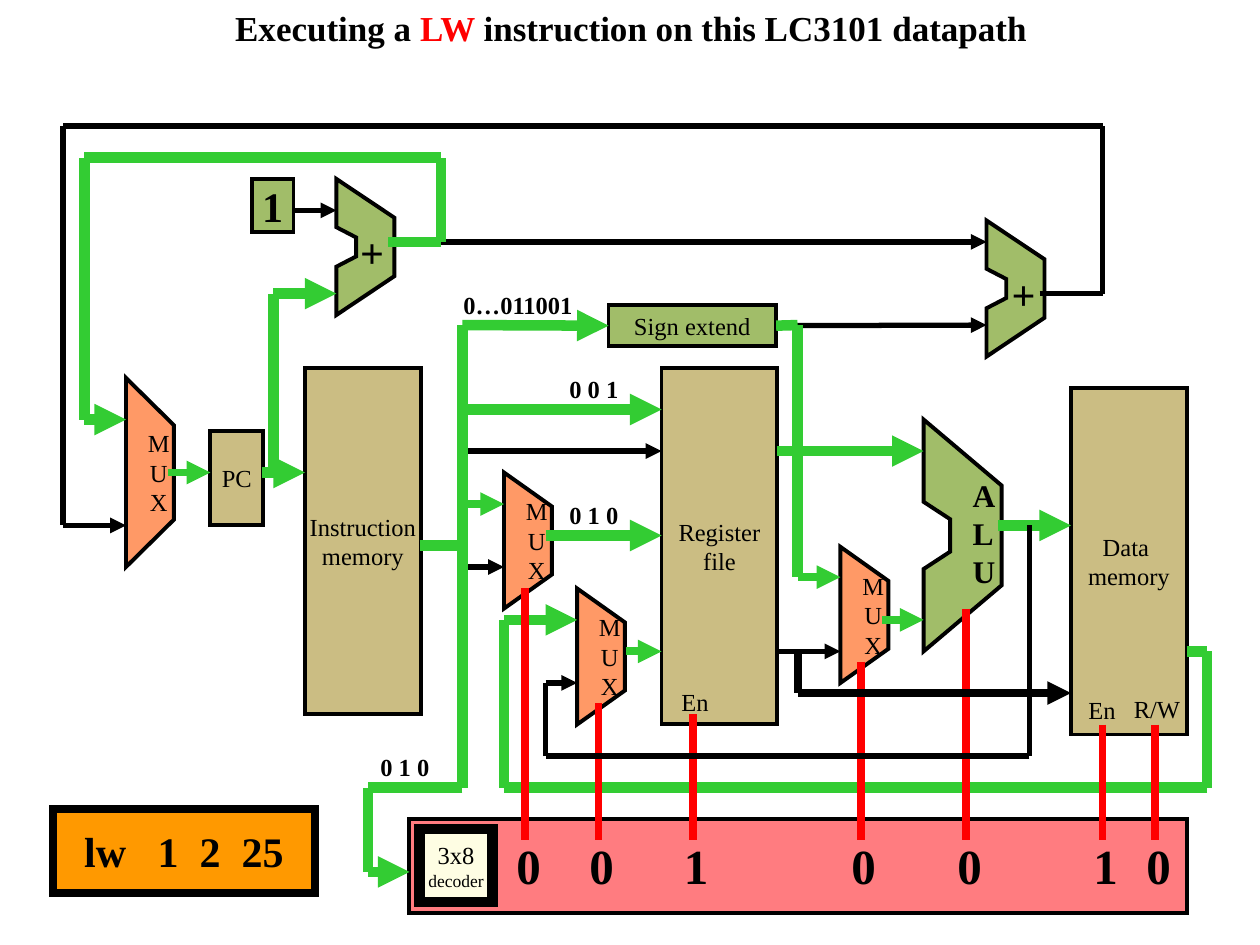
from dataclasses import dataclass
from math import hypot

from lxml import etree
from pptx import Presentation
from pptx.dml.color import RGBColor
from pptx.enum import shapes, text
from pptx.oxml import ns
from pptx.util import Inches, Pt

FONT = "Times New Roman"
COLORS = {
    "black": "000000", "white": "FFFFFF", "active": "33CC33", "control": "FF0000",
    "storage": "CBBD83", "logic": "A1BD69", "mux": "FF9966",
    "control_unit": "FF7C80", "decoder": "FEFDE3", "instruction": "FF9900",
}


@dataclass
class Block:
    left: float
    top: float
    width: float
    height: float
    fill: str
    label: str = ""
    size: float = 14
    bold: bool = False
    border: float = 2.25


@dataclass
class Unit:
    """A trapezoid whose wide side is on the left, centred on mid."""
    left: float
    mid: float
    width: float
    half: float


@dataclass
class Wire:
    """A run of straight segments; the arrowhead, if any, is on the last one."""
    color: str
    weight: float
    points: list[tuple[float, float]]
    arrow: bool = True


@dataclass
class Label:
    left: float
    top: float
    width: float
    height: float
    words: str
    size: float = 14
    bold: bool = True


@dataclass
class Signal:
    x: float
    top: float
    value: str


BLOCKS = [
    Block(1.67, 3.42, 0.42, 0.75, "storage", "PC"),
    Block(2.42, 2.92, 0.92, 2.75, "storage", "Instruction\nmemory"),
    Block(5.25, 2.92, 0.92, 2.83, "storage", "Register\nfile"),
    Block(8.5, 3.08, 0.92, 2.75, "storage", "Data \nmemory"),
    Block(4.83, 2.42, 1.33, 0.33, "logic", "Sign extend"),
    Block(2, 1.42, 0.33, 0.42, "logic", "1", 24, True),
    Block(3.25, 6.5, 6.17, 0.75, "control_unit"),
    Block(3.33, 6.58, 0.58, 0.58, "decoder", "3x8\ndecoder", border=6),
    Block(0.42, 6.42, 2.08, 0.67, "instruction", "lw   1  2  25", 24, True, 4.5),
]
MUXES = [
    Unit(1, 3.75, 0.38, 0.75),
    Unit(4, 4.29, 0.38, 0.54),
    Unit(4.58, 5.21, 0.38, 0.54),
    Unit(6.67, 4.88, 0.38, 0.54),
]
ADDERS = [Unit(2.67, 1.96, 0.46, 0.54), Unit(7.83, 2.29, 0.46, 0.54)]
ALU = Unit(7.33, 4.25, 0.62, 0.92)

IDLE_WIRES = [
    Wire("black", 3, [(6.17, 2.58), (7.83, 2.58)]),
    Wire("black", 3, [(3.08, 1.92), (7.83, 1.92)]),
    Wire("black", 3, [(8.25, 2.33), (8.75, 2.33), (8.75, 1), (0.5, 1), (0.5, 4.17), (1, 4.17)]),
    Wire("black", 3, [(3.67, 4.5), (4, 4.5)]),
    Wire("black", 3, [(3.67, 3.58), (5.25, 3.58)]),
    Wire("black", 3, [(2.33, 1.67), (2.67, 1.67)]),
]
ACTIVE_WIRES = [
    Wire("active", 6, [(9.42, 5.17), (9.58, 5.17), (9.58, 6.25), (4, 6.25), (4, 4.92), (4.58, 4.92)]),
    Wire("active", 6, [(3.33, 4.33), (3.67, 4.33)], False),
    Wire("active", 6, [(3.67, 6.25), (3.67, 2.58), (4.83, 2.58)]),
    Wire("active", 6, [(3.67, 6.25), (2.92, 6.25), (2.92, 6.92), (3.25, 6.92)]),
    Wire("active", 6, [(3.67, 3.25), (5.25, 3.25)]),
    Wire("active", 4.5, [(3.67, 4), (4, 4)]),
    Wire("active", 6, [(4.33, 4.25), (5.25, 4.25)]),
    Wire("active", 4.5, [(4.97, 5.17), (5.25, 5.17)]),
    Wire("active", 6, [(6.17, 2.58), (6.33, 2.58), (6.33, 4.58)], False),
    Wire("active", 4.5, [(6.33, 4.58), (6.67, 4.58)]),
    Wire("active", 6, [(6.17, 3.58), (7.33, 3.58)]),
    Wire("active", 4.5, [(7, 4.92), (7.33, 4.92)]),
    Wire("active", 6, [(7.92, 4.17), (8.5, 4.17)]),
    Wire("active", 6, [(3.08, 1.92), (3.5, 1.92), (3.5, 1.25), (0.67, 1.25), (0.67, 3.33), (1, 3.33)]),
    Wire("active", 4.5, [(1.33, 3.75), (1.67, 3.75)]),
    Wire("active", 6, [(2.08, 3.75), (2.42, 3.75)]),
    Wire("active", 6, [(2.17, 3.75), (2.17, 2.33), (2.67, 2.33)]),
]
SIGNALS = [
    Signal(4.17, 4.67, "0"), Signal(4.75, 5.58, "0"), Signal(5.5, 5.67, "1"),
    Signal(6.83, 5.25, "0"), Signal(7.67, 4.83, "0"), Signal(8.75, 5.75, "1"),
    Signal(9.17, 5.75, "0"),
]
TOP_WIRES = [
    Wire("black", 4.5, [(6.33, 5.17), (6.33, 5.5), (8.5, 5.5)]),
    Wire("black", 3, [(6.17, 5.17), (6.67, 5.17)]),
    Wire("black", 3, [(8.17, 4.17), (8.17, 6), (4.33, 6), (4.33, 5.42), (4.58, 5.42)]),
]
LABELS = [
    Label(2.76, 1.75, 0.39, 0.5, "+", 24),
    Label(7.93, 2.08, 0.39, 0.5, "+", 24),
    Label(7.62, 3.73, 0.38, 1, "A\nL\nU", 18),
    Label(4.42, 2.92, 0.59, 0.33, "0 0 1"),
    Label(4.42, 3.92, 0.59, 0.33, "0 1 0"),
    Label(2.92, 5.92, 0.59, 0.33, "0 1 0"),
    Label(3.58, 2.25, 1.08, 0.33, "0…011001"),
    Label(8.9, 5.46, 0.57, 0.33, "R/W", bold=False),
    Label(8.54, 5.47, 0.42, 0.33, "En", bold=False),
    Label(5.31, 5.4, 0.42, 0.33, "En", bold=False),
]


def rgb(name: str) -> RGBColor:
    return RGBColor.from_string(COLORS[name])


def style_font(font, size: float, bold: bool, color: str = "black") -> None:
    font.name, font.size, font.bold = FONT, Pt(size), bold
    font.color.rgb = rgb(color)


def write(frame, words: str, size: float, bold: bool, align, anchor) -> None:
    frame.text = words
    frame.word_wrap = False
    frame.vertical_anchor = anchor
    for para in frame.paragraphs:
        para.alignment = align
        for span in para.runs:
            style_font(span.font, size, bold)


def paint(shape, fill: str, border: float = 2.25) -> None:
    shape.shadow.inherit = False
    shape.fill.solid()
    shape.fill.fore_color.rgb = rgb(fill)
    shape.line.color.rgb = rgb("black")
    shape.line.width = Pt(border)
    etree.SubElement(shape.line._get_or_add_ln(), ns.qn("a:miter"), lim="800000")


def draw_block(page, block: Block):
    box = page.shapes.add_shape(
        shapes.MSO_SHAPE.RECTANGLE,
        *map(Inches, (block.left, block.top, block.width, block.height)))
    paint(box, block.fill, block.border)
    if block.label:
        write(box.text_frame, block.label, block.size, block.bold,
              text.PP_ALIGN.CENTER, text.MSO_ANCHOR.MIDDLE)
    return box


def draw_unit(page, unit: Unit, fill: str, slope: float, notched: bool):
    """Draw a trapezoid; slope is the right side's share of the left side."""
    right, half = unit.left + unit.width, unit.half
    points = [(right, -half * slope), (unit.left, -half)]
    if notched:
        inner = unit.left + unit.width * 0.34
        points += [(unit.left, -half * 0.29), (inner, -half * 0.14),
                   (inner, half * 0.14), (unit.left, half * 0.29)]
    points += [(unit.left, half), (right, half * slope)]
    outline = [(Inches(x), Inches(unit.mid + y)) for x, y in points]
    builder = page.shapes.build_freeform(*outline[0])
    builder.add_line_segments(outline[1:], close=True)
    shape = builder.convert_to_shape()
    paint(shape, fill)
    return shape


def draw_mux(page, unit: Unit) -> None:
    frame = draw_unit(page, unit, "mux", 0.5, False).text_frame
    frame.margin_left, frame.margin_right = Inches(0.14), 0
    write(frame, "M\nU\nX", 14, False, text.PP_ALIGN.CENTER, text.MSO_ANCHOR.MIDDLE)


def find_site(point: tuple[float, float], boxes):
    """Return the box and side whose middle lies at the point, if any."""
    for box in boxes:
        middle = box.top + box.height / 2
        for site, x in ((1, box.left), (3, box.left + box.width)):
            if hypot(x - Inches(point[0]), middle - Inches(point[1])) < Inches(0.02):
                return box, site
    return None


def draw_wire(page, wire: Wire, boxes) -> None:
    for start, end in zip(wire.points, wire.points[1:]):
        line = page.shapes.add_connector(
            shapes.MSO_CONNECTOR.STRAIGHT, *map(Inches, (*start, *end)))
        line.line.color.rgb = rgb(wire.color)
        line.line.width = Pt(wire.weight)
        if wire.arrow and end == wire.points[-1]:
            etree.SubElement(line.line._get_or_add_ln(), ns.qn("a:tailEnd"), type="triangle")
        etree.SubElement(line._element.spPr, ns.qn("a:effectLst"))
        for point, connect in ((start, line.begin_connect), (end, line.end_connect)):
            site = find_site(point, boxes)
            if site:
                connect(*site)


def draw_label(page, label: Label) -> None:
    box = page.shapes.add_textbox(
        *map(Inches, (label.left, label.top, label.width, label.height)))
    write(box.text_frame, label.words, label.size, label.bold,
          text.PP_ALIGN.LEFT, text.MSO_ANCHOR.TOP)
    box.text_frame.auto_size = text.MSO_AUTO_SIZE.SHAPE_TO_FIT_TEXT


def draw_title(page) -> None:
    title = page.shapes.title
    title.left, title.top, title.width, title.height = map(Inches, (1.76, 0, 6.5, 0.43))
    frame = title.text_frame
    frame.word_wrap = False
    frame.vertical_anchor = text.MSO_ANCHOR.TOP
    para = frame.paragraphs[0]
    para.alignment = text.PP_ALIGN.CENTER
    for words, color in (("Executing a ", "black"), ("LW ", "control"),
                         ("instruction on this LC3101 datapath", "black")):
        span = para.add_run()
        span.text = words
        style_font(span.font, 20, True, color)


def main() -> None:
    deck = Presentation()
    deck.slide_width, deck.slide_height = Inches(10), Inches(7.5)
    page = deck.slides.add_slide(deck.slide_layouts[5])
    page.background.fill.solid()
    page.background.fill.fore_color.rgb = rgb("white")
    draw_title(page)
    boxes = [draw_block(page, block) for block in BLOCKS]
    boxes[7].text_frame.paragraphs[1].runs[0].font.size = Pt(10)
    for mux in MUXES:
        draw_mux(page, mux)
    for unit in [*ADDERS, ALU]:
        draw_unit(page, unit, "logic", 0.43, True)
    control_wires = [Wire("control", 4.5, [(s.x, s.top), (s.x, 6.67)], False) for s in SIGNALS]
    for wire in IDLE_WIRES + ACTIVE_WIRES + control_wires + TOP_WIRES:
        draw_wire(page, wire, boxes)
    digits = [Label(s.x - 0.17, 6.58, 0.4, 0.57, s.value, 28) for s in SIGNALS]
    for label in LABELS + digits:
        draw_label(page, label)
    deck.save("out.pptx")


if __name__ == "__main__":
    main()
